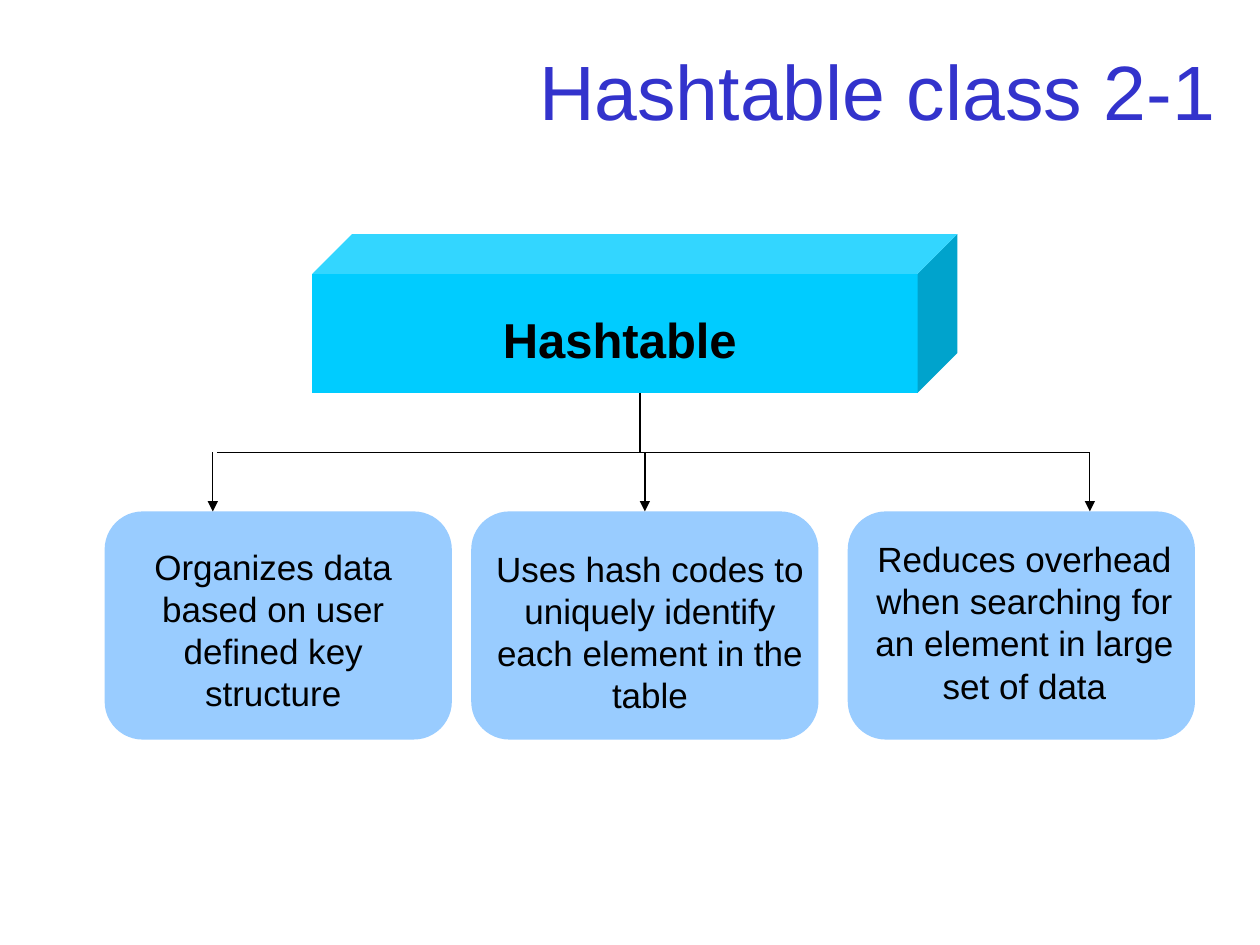
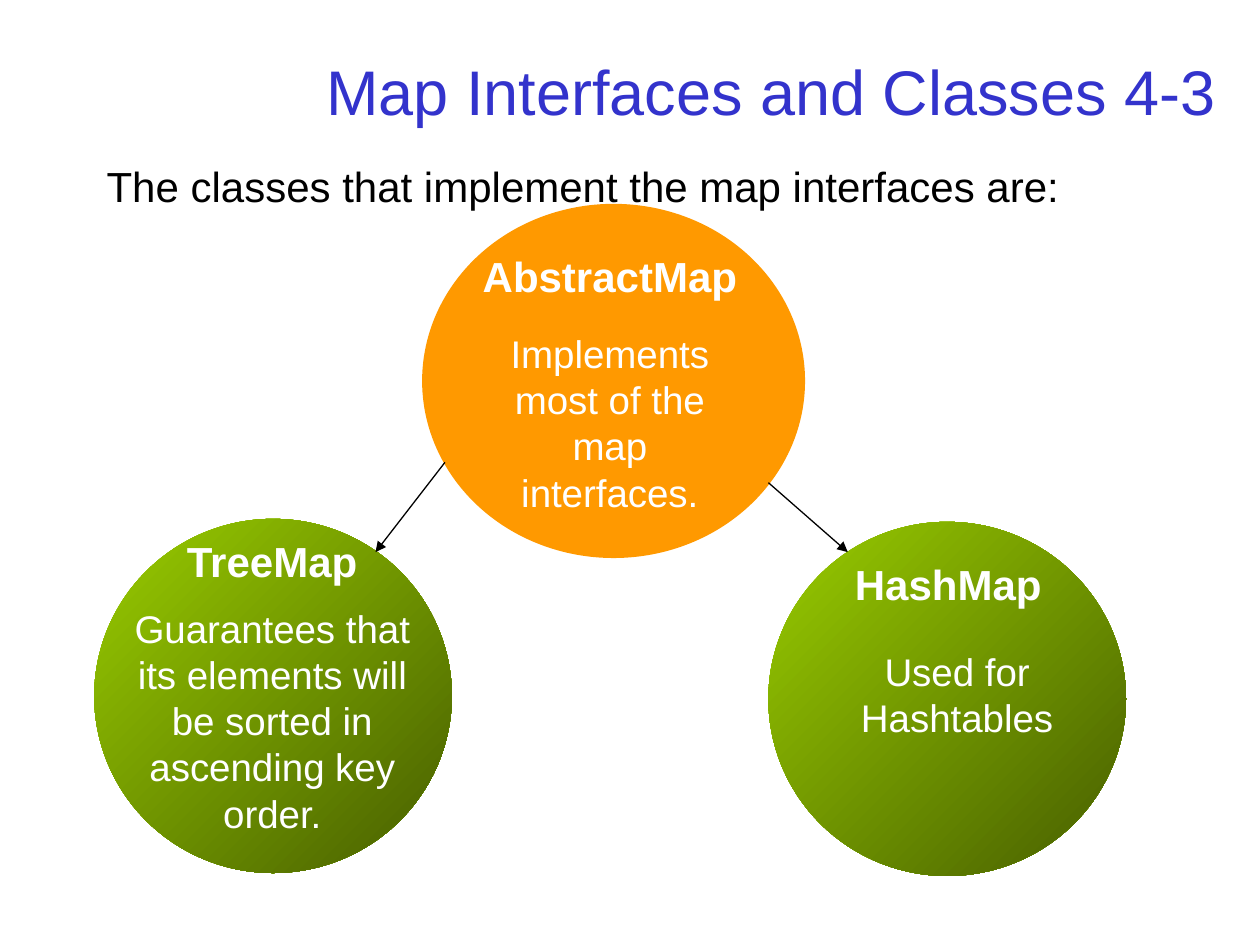
"""Build two slides on the hashtable class and the map classes."""
from lxml.etree import SubElement
from pptx import Presentation
from pptx.dml.color import RGBColor
from pptx.enum.shapes import MSO_CONNECTOR as Connector, MSO_SHAPE as Preset
from pptx.enum.text import MSO_ANCHOR as Anchor, PP_ALIGN as Align
from pptx.oxml.ns import qn
from pptx.util import Cm, Pt

COLORS = {
    "title": "3333CC", "black": "000000", "white": "FFFFFF", "cube": "00CCFF",
    "card": "99CCFF", "orange": "FF9900", "green": "99CC00", "dark_green": "475E00",
}
FONT = "Arial"


def add_text(slide, text, box, size, color="black", bold=False, align=Align.CENTER, anchor=Anchor.TOP):
    frame = slide.shapes.add_textbox(*map(Cm, box)).text_frame
    frame.word_wrap = True
    frame.vertical_anchor = anchor
    paragraph = frame.paragraphs[0]
    paragraph.alignment = align
    run = paragraph.add_run()
    run.text = text
    run.font.name = FONT
    run.font.size = Pt(size)
    run.font.bold = bold
    run.font.color.rgb = RGBColor.from_string(COLORS[color])


def add_shape(slide, preset, box, color, end_color=None):
    shape = slide.shapes.add_shape(preset, *map(Cm, box))
    shape.shadow.inherit = False
    shape.line.fill.background()
    if end_color:
        shape.fill.gradient()
        shape.fill.gradient_angle = 315
        for stop, name in zip(shape.fill.gradient_stops, (color, end_color)):
            stop.color.rgb = RGBColor.from_string(COLORS[name])
    else:
        shape.fill.solid()
        shape.fill.fore_color.rgb = RGBColor.from_string(COLORS[color])
    return shape


presentation = Presentation()
presentation.slide_width, presentation.slide_height = Cm(25.4), Cm(19.05)
slides = []
for title, size in [("Hashtable class 2-1", 44), ("Map Interfaces and Classes 4-3", 36)]:
    slide = presentation.slides.add_slide(presentation.slide_layouts[6])
    add_text(slide, title, (1.9, 0.71, 22.86, 2.21), size, "title", align=Align.RIGHT, anchor=Anchor.MIDDLE)
    slides.append(slide)
hashtable_slide, map_slide = slides

add_shape(hashtable_slide, Preset.CUBE, (6.3, 4.72, 13, 3.2), "cube")
add_text(hashtable_slide, "Hashtable", (8.89, 6.12, 7.21, 1.45), 28, bold=True)

card_top, card_width, card_height = 10.31, 7, 4.6
cards = []
for card_left, text, text_left, text_top, text_width in [
    (2.11, "Organizes data based on user defined key structure", 2.41, 10.87, 6.2),
    (9.5, "Uses hash codes to uniquely identify each element in the table", 9.7, 10.92, 6.81),
    (17.09, "Reduces overhead when searching for an element in large set of data", 17.3, 10.72, 6.71),
]:
    card = add_shape(hashtable_slide, Preset.ROUNDED_RECTANGLE,
                     (card_left, card_top, card_width, card_height), "card")
    card.adjustments[0] = 0.167
    cards.append(card)
    add_text(hashtable_slide, text, (text_left, text_top, text_width, 3.66), 20)

add_text(map_slide, "The classes that implement the map interfaces are:",
         (1.9, 3.12, 22.86, 2.21), 24, align=Align.LEFT)
for circle, fill, name, name_box, text, text_box in [
    ((1.9, 10.46, 7.21, 7.14), ("green", "dark_green"), "TreeMap", (2.69, 10.67, 5.59, 1.27),
     "Guarantees that its elements will be sorted in ascending key order.", (2.29, 12.07, 6.4, 4.93)),
    ((15.49, 10.52, 7.21, 7.14), ("green", "dark_green"), "HashMap", (16.31, 11.13, 5.61, 1.27),
     "Used for Hashtables", (16.69, 12.93, 5.21, 2.13)),
    ((8.51, 4.11, 7.72, 7.14), ("orange",), "AbstractMap", (9.3, 4.93, 5.99, 1.27),
     "Implements most of the map interfaces.", (9.5, 6.53, 5.59, 3.99)),
]:
    add_shape(map_slide, Preset.OVAL, circle, *fill)
    add_text(map_slide, name, name_box, 24, "white", bold=True)
    add_text(map_slide, text, text_box, 22, "white")

bar_top = 9.12
for slide, ends, has_arrow, target in [
    (hashtable_slide, (12.9, 7.92, 12.9, bar_top), False, None),
    (hashtable_slide, (4.37, bar_top, 21.97, bar_top), False, None),
    (hashtable_slide, (4.29, bar_top, 4.29, card_top), True, None),
    (hashtable_slide, (13, bar_top, 13, card_top), True, cards[1]),
    (hashtable_slide, (21.97, bar_top, 21.97, card_top), True, None),
    (map_slide, (8.97, 9.32, 7.57, 11.13), True, None),
    (map_slide, (15.49, 9.73, 17.09, 11.13), True, None),
]:
    connector = slide.shapes.add_connector(Connector.STRAIGHT, *map(Cm, ends))
    connector.line.width = Pt(0.75)
    connector.line.color.rgb = RGBColor.from_string(COLORS["black"])
    properties = connector._element.spPr
    if has_arrow:
        SubElement(properties.find(qn("a:ln")), qn("a:tailEnd"), type="triangle")
    SubElement(properties, qn("a:effectLst"))
    if target:
        connector.end_connect(target, 0)

presentation.save("out.pptx")
